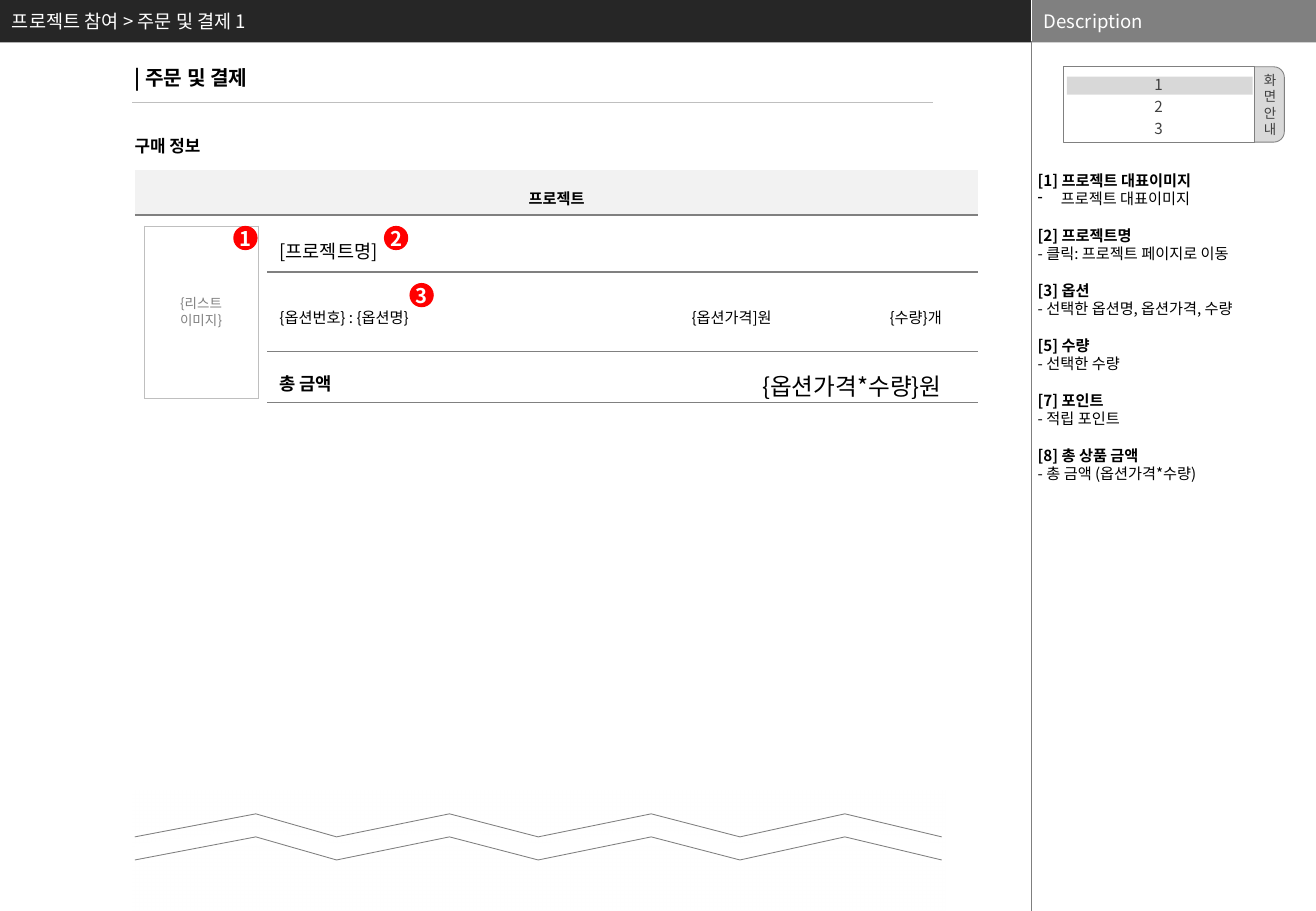
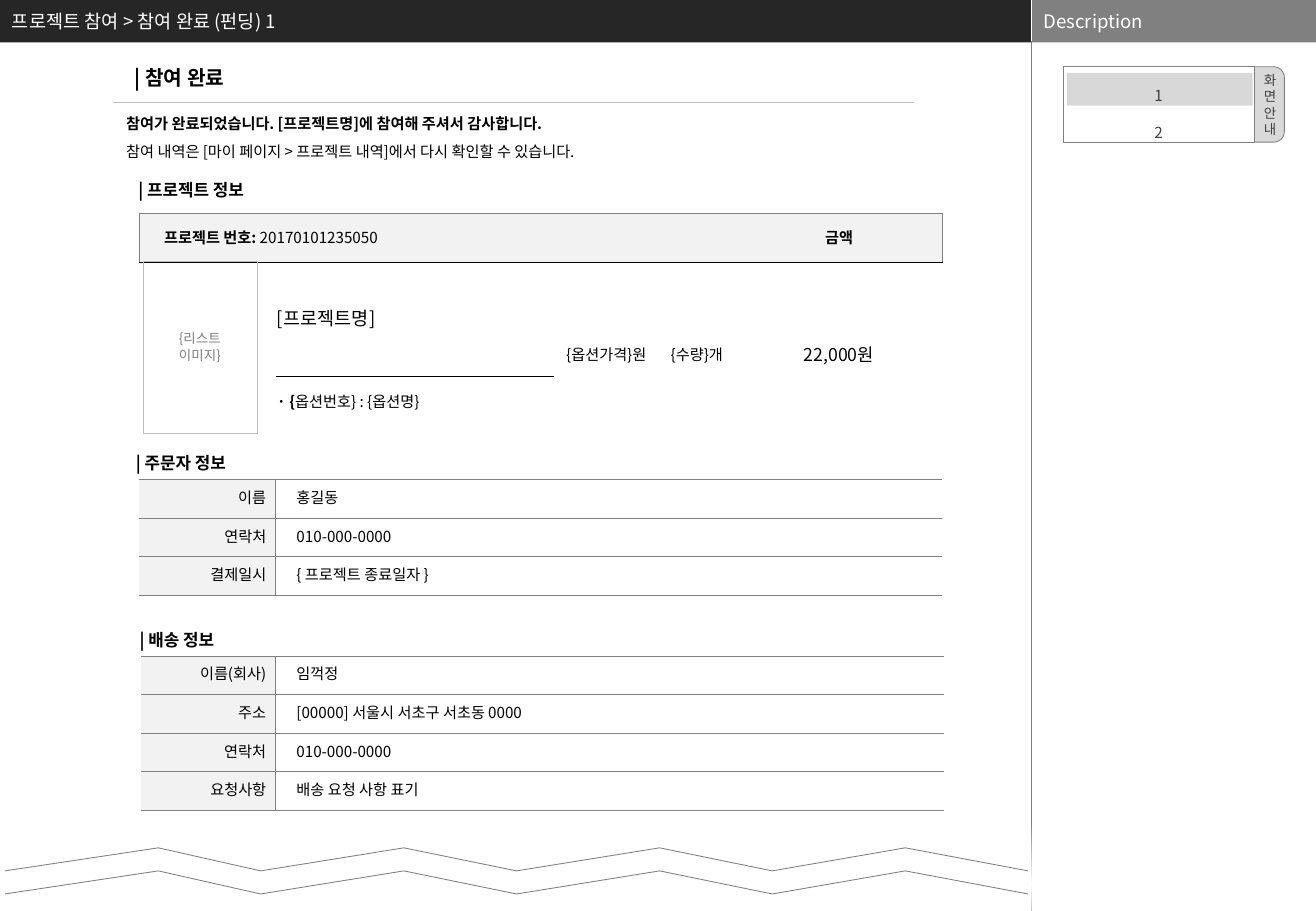
from lxml.etree import SubElement
from pptx import Presentation
from pptx.dml.color import RGBColor
from pptx.enum.shapes import MSO_CONNECTOR, MSO_SHAPE as SHAPE
from pptx.enum.text import MSO_ANCHOR as ANCHOR, PP_ALIGN as ALIGN
from pptx.oxml import parse_xml
from pptx.oxml.ns import nsdecls, qn
from pptx.util import Inches, Pt

FONT = "Noto Sans CJK KR"
COLORS = dict(white="FFFFFF", black="000000", bar="262626", gray="808080", rule="7F7F7F",
              text="404040", tab="D9D9D9", light="BFBFBF", head="F2F2F2", red="FF0000")
LEADING = 1.207
PLAIN_TABLE = "{2D5ABB26-0587-4C30-8999-92F81FD0307C}"
L, C, R = ALIGN.LEFT, ALIGN.CENTER, ALIGN.RIGHT
THIN, HAIR, THICK = ("gray", 0.5), ("gray", 0.25), ("gray", 1.5)
UNDER = ("black", 1)
PAD, TIGHT, FLUSH = (0.1, 0.05, 0.1, 0.05), (0.01, 0.01, 0.01, 0), (0, 0, 0, 0)
LABEL, VALUE = (0.08,) * 4, (0.17, 0.08, 0.17, 0.08)
WIDE, TOTAL = (0.1, 0.05, 0.3, 0.05), (0.1, 0, 0.3, 0)

NOTES = [
    ("[1] 프로젝트 대표이미지", "프로젝트 대표이미지"),
    ("[2] 프로젝트명", "- 클릭: 프로젝트 페이지로 이동"),
    ("[3] 옵션", "- 선택한 옵션명, 옵션가격, 수량"),
    ("[5] 수량", "- 선택한 수량"),
    ("[7] 포인트", "- 적립 포인트"),
    ("[8] 총 상품 금액", "- 총 금액 (옵션가격*수량)"),
]
BADGES = [("1", 1.92, 1.86), ("2", 3.16, 1.86), ("3", 3.37, 2.33)]
BUYER = [("이름", "홍길동"), ("연락처", "010-000-0000"), ("결제일시", "{ 프로젝트 종료일자 }")]
DELIVERY = [("이름(회사)", "임꺽정"), ("주소", "[00000] 서울시 서초구 서초동 0000"),
            ("연락처", "010-000-0000"), ("요청사항", "배송 요청 사항 표기")]
ORDER_CELLS = [
    (0, 0, 1, 4, "프로젝트", dict(bold=True, align=C, margins=FLUSH)),
    (1, 0, 4, 1, "", {}),
    (1, 1, 1, 3, "[프로젝트명]", dict(size=11)),
    (2, 1, 1, 1, "{옵션번호} : {옵션명}", {}),
    (2, 2, 1, 1, "{옵션가격]원", dict(align=R)),
    (2, 3, 1, 1, "{수량}개", dict(align=R, margins=WIDE)),
    (3, 1, 1, 1, "총 금액", dict(size=10.5, bold=True, margins=TOTAL)),
    (3, 2, 1, 2, "{옵션가격*수량}원", dict(size=14, align=R, margins=TOTAL)),
    (4, 2, 1, 2, "", {}),
]
PROJECT_CELLS = [
    (0, 0, 1, 3, [("프로젝트 번호: ", True), ("20170101235050", False)],
     dict(margins=(0.2, 0.01, 0.2, 0))),
    (0, 4, 1, 1, "금액", dict(bold=True, align=C)),
    (1, 0, 2, 1, "", {}),
    (1, 1, 1, 1, "[프로젝트명]", dict(size=11)),
    (1, 2, 2, 1, "{옵션가격}원", dict(align=C)),
    (1, 3, 2, 1, "{수량}개", dict(align=C)),
    (1, 4, 2, 1, "22,000원", dict(size=10.5, align=C)),
    (2, 1, 1, 1, [("· {", True), ("옵션번호} : {옵션명}", False)],
     dict(margins=(0.01, 0.01, 0.01, 0.16))),
]
ZIGZAG = (0, 0.15, 0.25, 0.39, 0.5, 0.64, 0.75, 0.88, 1)


def rgb(name):
    return RGBColor.from_string(COLORS[name])


def write(box, lines, size=9, color="black", bold=False, align=L, leading=1, spacing=None,
          anchor=ANCHOR.MIDDLE, margins=PAD):
    frame = box if hasattr(box, "margin_left") else box.text_frame
    for side, value in zip(("left", "top", "right", "bottom"), margins):
        setattr(frame, f"margin_{side}", Inches(value))
    frame.vertical_anchor = anchor
    tf = box.text_frame
    tf.word_wrap = True
    for i, line in enumerate(lines):
        p = tf.add_paragraph() if i else tf.paragraphs[0]
        p.alignment = align
        p.line_spacing = spacing or Pt(round(size * LEADING * leading, 2))
        for text, strong in ([(line, bold)] if isinstance(line, str) else line):
            r = p.add_run()
            r.text = text
            for key, value in dict(name=FONT, size=Pt(size), bold=strong).items():
                setattr(r.font, key, value)
            r.font.color.rgb = rgb(color)
            SubElement(r.font._element, qn("a:ea"), typeface=FONT)
    return tf


def label(s, at, lines, **fmt):
    return write(s.shapes.add_textbox(*map(Inches, at)), lines, **fmt)


def paint(sp, fill=None, line=None):
    sp.shadow.inherit = False
    if fill:
        sp.fill.solid()
        sp.fill.fore_color.rgb = rgb(fill)
    else:
        sp.fill.background()
    if line:
        sp.line.color.rgb, sp.line.width = rgb(line[0]), Pt(line[1])
    else:
        sp.line.fill.background()
    return sp


def shape(s, kind, at, fill, line=None):
    return paint(s.shapes.add_shape(kind, *map(Inches, at)), fill, line)


def rule(s, x1, y1, x2, y2, color, width):
    c = s.shapes.add_connector(MSO_CONNECTOR.STRAIGHT, *map(Inches, (x1, y1, x2, y2)))
    c.line.color.rgb, c.line.width = rgb(color), Pt(width)
    SubElement(c._element.spPr, qn("a:effectLst"))


def table(s, x, y, cols, rows):
    t = s.shapes.add_table(len(rows), len(cols), *map(Inches, (x, y, sum(cols), sum(rows)))).table
    t.first_row = t.horz_banding = False
    t._tbl.tblPr.find(qn("a:tableStyleId")).text = PLAIN_TABLE
    for col, width in zip(t.columns, cols):
        col.width = Inches(width)
    for row, height in zip(t.rows, rows):
        row.height = Inches(height)
    return t


def style(cell, fill=None, **borders):
    tcPr = cell._tc.get_or_add_tcPr()
    for side in "LRTB":
        if side in borders:
            color, width = borders[side]
            ln = SubElement(tcPr, qn(f"a:ln{side}"), w=str(Pt(width)))
            SubElement(SubElement(ln, qn("a:solidFill")), qn("a:srgbClr"), val=COLORS[color])
    if fill:
        cell.fill.solid()
        cell.fill.fore_color.rgb = rgb(fill)
    else:
        cell.fill.background()


def fill_cells(t, cells, **shared):
    for row, col, down, across, text, fmt in cells:
        cell = t.cell(row, col)
        if down * across > 1:
            cell.merge(t.cell(row + down - 1, col + across - 1))
        if text:
            write(cell, [text], **{**shared, **fmt})


def form(s, x, y, cols, height, rows):
    t = table(s, x, y, cols, [height / len(rows)] * len(rows))
    for i, (name, value) in enumerate(rows):
        style(t.cell(i, 0), "head", R=THIN, T=THIN, B=THIN)
        style(t.cell(i, 1), L=THIN, T=THIN, B=THIN)
        write(t.cell(i, 0), [name], align=R, margins=LABEL)
        write(t.cell(i, 1), [value], margins=VALUE)


def thumbnail(s, x, y):
    edge = ("light", 0.5)
    style(table(s, x, y, [0.94], [1.42]).cell(0, 0), L=edge, R=edge, T=edge, B=edge)
    caption = shape(s, SHAPE.RECTANGLE, (x + 0.11, y + 0.57, 0.71, 0.27), "white")
    write(caption, ["{리스트", "이미지}"], size=8, color="gray", align=C, anchor=ANCHOR.TOP,
          margins=FLUSH)


def screen_map(s, pages, leading, top, height):
    tab = shape(s, SHAPE.ROUNDED_RECTANGLE, (10.11, 0.55, 0.46, 0.62), "tab", THIN)
    tab.adjustments[0] = 0.188
    write(tab, list("화면안내"), size=8, color="text", align=R, margins=(0, 0, 0.04, 0))
    panel = shape(s, SHAPE.RECTANGLE, (8.75, 0.55, 1.57, 0.62), "white", THIN)
    write(panel, pages, color="text", align=C, leading=leading, margins=(0.04,) * 4)
    current = shape(s, SHAPE.RECTANGLE, (8.78, top, 1.53, height), "text")
    clr = current._element.spPr.find(qn("a:solidFill"))[0]
    SubElement(clr, qn("a:alpha"), val="20000")


def zigzag(x, width, top, rise):
    return [(Inches(x + f * width), Inches(top + (0 if i % 2 else rise)))
            for i, f in enumerate(ZIGZAG)]


def page_break(s, x, width, y, band):
    veil = shape(s, SHAPE.RECTANGLE, band, "white")
    spPr = veil._element.spPr
    stops = "".join(f'<a:gs pos="{pos}"><a:srgbClr val="FFFFFF"><a:alpha val="{alpha}"/>'
                    f'</a:srgbClr></a:gs>'
                    for pos, alpha in ((0, 0), (50000, 100000), (100000, 0)))
    spPr.replace(spPr.find(qn("a:solidFill")), parse_xml(
        f'<a:gradFill {nsdecls("a")}><a:gsLst>{stops}</a:gsLst>'
        f'<a:lin ang="5400000" scaled="0"/></a:gradFill>'))
    upper, lower = (zigzag(x, width, y + d, 0.13) for d in (0.12, 0.25))
    b = s.shapes.build_freeform(*upper[0])
    b.add_line_segments(upper[1:] + lower[::-1], close=True)
    paint(b.convert_to_shape(), "white")
    upper, lower = (zigzag(x, width, y + d, 0.19) for d in (0, 0.19))
    b = s.shapes.build_freeform(*upper[0])
    b.add_line_segments(upper[1:], close=False)
    b.move_to(*lower[0])
    b.add_line_segments(lower[1:], close=False)
    paint(b.convert_to_shape(), line=THIN)


def heading(s, x, y, text, size=10):
    label(s, (x, y, 3.22, 0.27), [text], size=size, bold=True, anchor=ANCHOR.TOP)


def page(prs, path_text, title, rule_x):
    s = prs.slides.add_slide(prs.slide_layouts[6])
    shape(s, SHAPE.RECTANGLE, (0, 0, 8.49, 0.35), "bar")
    shape(s, SHAPE.RECTANGLE, (8.49, 0, 2.34, 0.35), "gray")
    rule(s, 8.49, 0, 8.49, 0.35, "white", 0.25)
    rule(s, 8.49, 0.34, 8.49, 7.5, "rule", 0.25)
    label(s, (8.49, 0, 2.34, 0.34), ["Description"], size=11, color="white")
    label(s, (0, 0, 8.25, 0.35), [path_text], size=11, color="white")
    heading(s, 1.01, 0.49, title, 12)
    rule(s, rule_x, 0.84, rule_x + 6.59, 0.84, "light", 0.5)
    return s


def order_page(prs):
    s = page(prs, "프로젝트 참여 > 주문 및 결제 1", "| 주문 및 결제", 1.09)
    heading(s, 1.01, 1.07, "구매 정보")
    t = table(s, 1.11, 1.4, [1.09, 1.4, 2.85, 1.6], [0.37, 0.47, 0.65, 0.42, 0.24])
    for col in range(4):
        style(t.cell(0, col), "head", B=THICK)
        style(t.cell(1, col), T=THICK)
        if col:
            style(t.cell(2, col), B=HAIR)
            style(t.cell(3, col), T=HAIR)
    fill_cells(t, ORDER_CELLS, spacing=1.5)
    tf = label(s, (8.5, 0.35, 2.34, 7.15), [[(text, i == 0)] for note in NOTES
               for i, text in enumerate(note)], anchor=ANCHOR.TOP, margins=(0.04, 1.06, 0.04, 0))
    for p in tf.paragraphs[2::2]:
        p.space_before = Pt(10.86)
    pPr = tf.paragraphs[1]._p.get_or_add_pPr()
    pPr.set("marL", str(Inches(0.19)))
    pPr.set("indent", str(Inches(-0.19)))
    SubElement(pPr, qn("a:buChar"), char="-")
    screen_map(s, ["1", "2", "3"], 1.2, 0.63, 0.15)
    thumbnail(s, 1.19, 1.86)
    for number, x, y in BADGES:
        badge = shape(s, SHAPE.OVAL, (x, y, 0.2, 0.2), "red")
        write(badge, [number], size=12, color="white", bold=True, align=C, margins=FLUSH)
    page_break(s, 1.11, 6.64, 6.7, (1.09, 6.51, 6.69, 0.99))


def complete_page(prs):
    s = page(prs, "프로젝트 참여 > 참여 완료 (펀딩) 1", "| 참여 완료", 0.93)
    label(s, (0.94, 0.82, 6.14, 0.56), [
        [("참여가 완료되었습니다. [프로젝트명]에 참여해 주셔서 감사합니다.", True)],
        "참여 내역은 [마이 페이지 > 프로젝트 내역]에서 다시 확인할 수 있습니다.",
    ], leading=1.5, anchor=ANCHOR.TOP)
    form(s, 1.16, 5.4, [1.11, 5.5], 1.27, DELIVERY)
    heading(s, 1.05, 5.13, "| 배송 정보")
    form(s, 1.14, 3.95, [1.13, 5.48], 0.95, BUYER)
    heading(s, 1.02, 3.68, "| 주문자 정보")
    page_break(s, 0.04, 8.42, 6.98, (0, 6.78, 8.5, 0.99))
    screen_map(s, ["1", "2"], 2, 0.6, 0.27)
    t = table(s, 1.15, 1.76, [1.12, 2.29, 0.86, 0.63, 1.71], [0.34, 0.94, 0.59])
    for col in range(5):
        ends = {0: dict(L=THIN), 4: dict(R=THIN)}.get(col, {})
        style(t.cell(0, col), "head", T=THIN, B=UNDER, **ends)
        style(t.cell(1, col), T=UNDER)
    fill_cells(t, PROJECT_CELLS, margins=TIGHT)
    thumbnail(s, 1.18, 2.15)
    heading(s, 1.04, 1.43, "| 프로젝트 정보")


def main():
    prs = Presentation()
    prs.slide_width, prs.slide_height = Inches(10.83), Inches(7.5)
    order_page(prs)
    complete_page(prs)
    prs.save("out.pptx")


if __name__ == "__main__":
    main()
